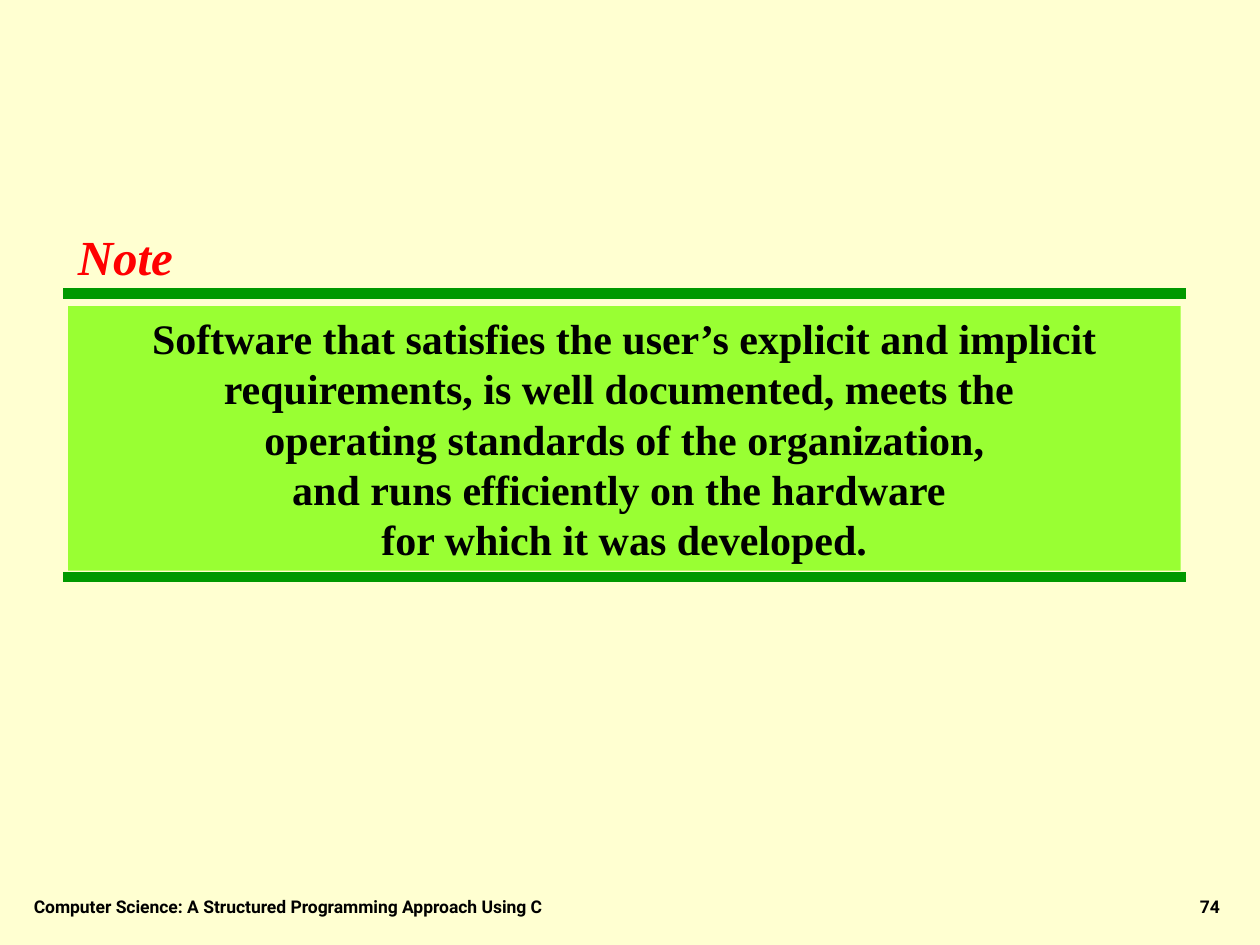
from pptx import Presentation
from pptx.dml.color import RGBColor
from pptx.enum import shapes, text
from pptx.oxml import ns
from pptx.util import Inches, Pt
from lxml import etree

COLORS = {
    "background": "FFFFD1",
    "rule": "009900",
    "panel": "99FF33",
    "heading": "FF0000",
    "ink": "000000",
}
STATEMENT = (
    "Software that satisfies the user’s explicit and implicit requirements, "
    "is well documented, meets the ",
    "operating standards of the organization,",
    "and runs efficiently on the hardware ",
    "for which it was developed.",
)


def color(key):
    """Return the named colour."""
    return RGBColor.from_string(COLORS[key])


def write(holder, *lines, font="Times New Roman", size=24, ink="ink", italic=False,
          align=text.PP_ALIGN.CENTER, anchor=text.MSO_ANCHOR.TOP, wrap=True,
          fit=text.MSO_AUTO_SIZE.NONE, leading=None):
    """Fill a shape with bold paragraphs in one format."""
    frame = holder.text_frame
    frame.word_wrap = wrap
    frame.auto_size = fit
    frame.vertical_anchor = anchor
    for index, line in enumerate(lines):
        paragraph = frame.add_paragraph() if index else frame.paragraphs[0]
        paragraph.alignment = align
        paragraph.line_spacing = leading
        run = paragraph.add_run()
        run.text = line
        run.font.name = font
        run.font.size = Pt(size)
        run.font.bold = True
        run.font.italic = italic
        run.font.color.rgb = color(ink)


def add_rule(slide, left, top, width):
    """Draw one thick horizontal rule."""
    rule = slide.shapes.add_connector(
        shapes.MSO_CONNECTOR.STRAIGHT,
        Inches(left), Inches(top), Inches(left + width), Inches(top))
    rule.line.color.rgb = color("rule")
    rule.line.width = Pt(6)
    etree.SubElement(rule._element.spPr, ns.qn("a:effectLst"))


def add_note(slide, left, top, width, height):
    """Place the heading, the two rules and the statement panel."""
    heading_height = 0.57
    first_rule = top + heading_height + 0.01
    for rule_top in (first_rule, top + height):
        add_rule(slide, left, rule_top, width)

    inset = 0.04
    panel = slide.shapes.add_shape(
        shapes.MSO_SHAPE.RECTANGLE, Inches(left + inset), Inches(first_rule + 0.1),
        Inches(width - 2 * inset), Inches(2.1))
    panel.shadow.inherit = False
    panel.fill.solid()
    panel.fill.fore_color.rgb = color("panel")
    panel.line.fill.background()
    write(panel, *STATEMENT, leading=Pt(28.8))

    heading = slide.shapes.add_textbox(
        Inches(left + 0.01), Inches(top), Inches(0.97), Inches(heading_height))
    write(heading, "Note", size=28, ink="heading", italic=True, wrap=False,
          fit=text.MSO_AUTO_SIZE.SHAPE_TO_FIT_TEXT)


def add_footer(slide, left, top, width, height):
    """Place the book title at the left and the page number at the right."""
    title_width, number_width = 5.67, 2.08
    parts = (
        ("Computer Science: A Structured Programming Approach Using C",
         left, title_width, text.PP_ALIGN.LEFT),
        ("74", left + width - number_width, number_width, text.PP_ALIGN.RIGHT),
    )
    for words, part_left, part_width, align in parts:
        label = slide.shapes.add_textbox(
            Inches(part_left), Inches(top), Inches(part_width), Inches(height))
        write(label, words, font="Roboto", size=10, align=align,
              anchor=text.MSO_ANCHOR.BOTTOM)


def main():
    """Build and save the slide."""
    deck = Presentation()
    deck.slide_width, deck.slide_height = Inches(10), Inches(7.5)
    slide = deck.slides.add_slide(deck.slide_layouts[6])
    slide.background.fill.solid()
    slide.background.fill.fore_color.rgb = color("background")
    add_note(slide, 0.5, 1.75, 8.91, 2.83)
    add_footer(slide, 0.17, 6.83, 9.61, 0.5)
    deck.save("out.pptx")


if __name__ == "__main__":
    main()
